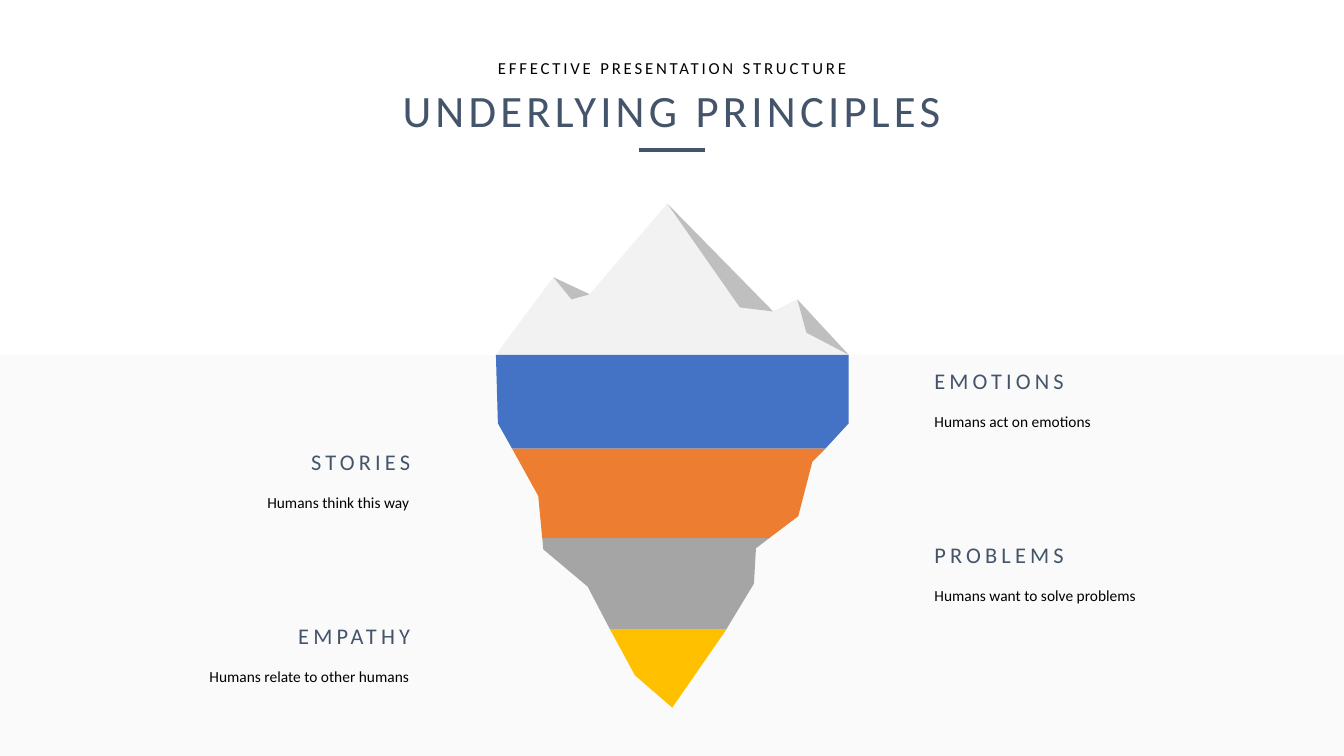
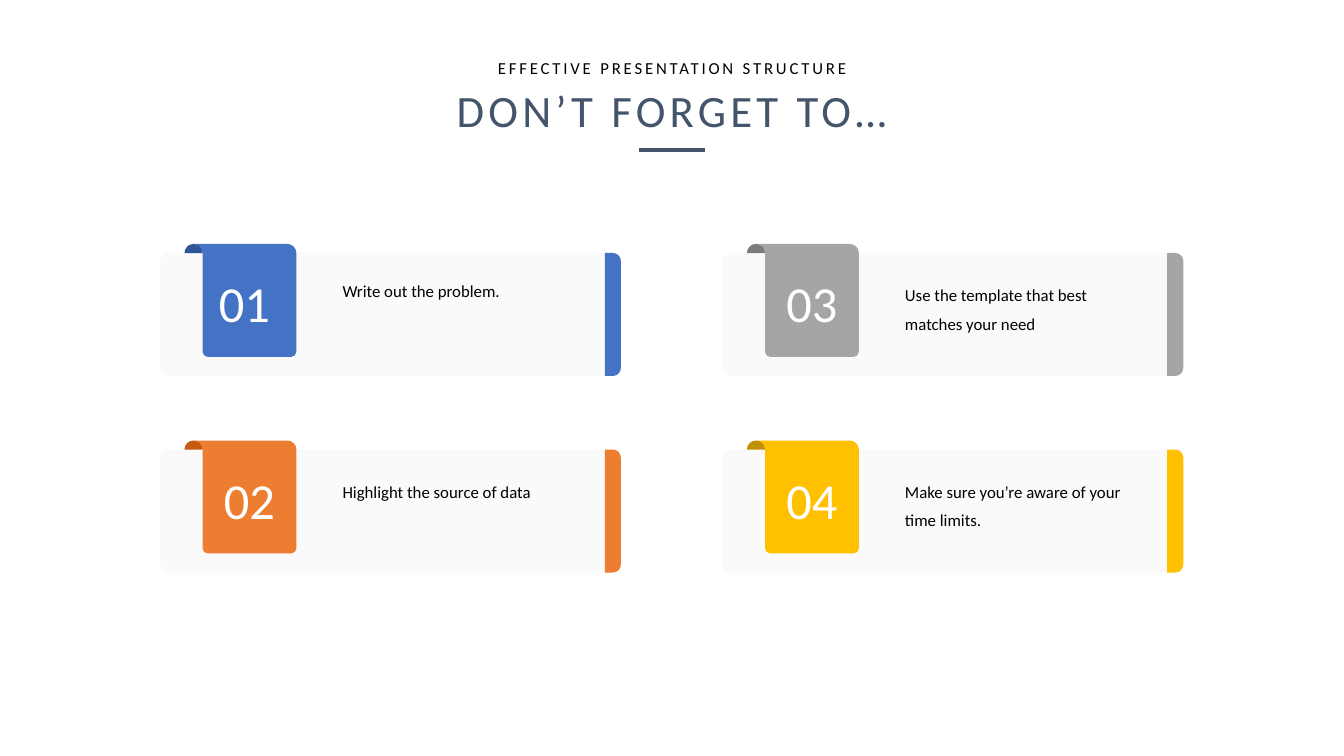
from dataclasses import dataclass
from typing import NamedTuple

from lxml.etree import SubElement
from pptx import Presentation
from pptx.dml.color import RGBColor
from pptx.enum.shapes import MSO_CONNECTOR, MSO_SHAPE
from pptx.enum.text import MSO_ANCHOR, MSO_AUTO_SIZE, PP_ALIGN
from pptx.oxml.ns import qn
from pptx.shapes.autoshape import Shape
from pptx.slide import Slide
from pptx.util import Emu, Pt

PX = 9144  # 100 px to the inch
SLIDE_W, SLIDE_H = Emu(12192000), Emu(6858000)
BEND = 0.55  # pull of a curve towards its corner that gives a quarter circle


@dataclass(frozen=True)
class Theme:
    font: str = "Calibri"
    text: str = "000000"
    heading: str = "44546A"
    white: str = "FFFFFF"
    panel: str = "FAFAFA"
    ice: str = "F2F2F2"
    ice_shade: str = "BFBFBF"
    blue: str = "4472C4"
    blue_dark: str = "2F5597"
    orange: str = "ED7D31"
    orange_dark: str = "C55A11"
    grey: str = "A5A5A5"
    grey_dark: str = "7C7C7C"
    gold: str = "FFC000"
    gold_dark: str = "BF9000"
    title_size: int = 32
    number_size: int = 36
    label_size: int = 16
    body_size: int = 12
    note_size: int = 11


T = Theme()


class Node(NamedTuple):
    """Outline point; with a corner, the way to it is a quarter curve round that corner."""
    x: int
    y: int
    corner: tuple[int, int] | None = None


@dataclass(frozen=True)
class Box:
    x: int
    y: int
    w: int
    h: int


@dataclass(frozen=True)
class Style:
    size: int
    color: str = T.text
    align: PP_ALIGN = PP_ALIGN.LEFT
    spacing: int = 0
    line: float = 1.0
    inset: tuple[int, int] = (0, 0)
    anchor: MSO_ANCHOR = MSO_ANCHOR.TOP
    grow: bool = True


@dataclass(frozen=True)
class Layer:
    color: str
    points: list[tuple[int, int]]


@dataclass(frozen=True)
class Principle:
    label: str
    note: str
    label_y: int
    note_y: int
    on_left: bool


@dataclass(frozen=True)
class Card:
    number: str
    text: str
    color: str
    dark: str
    lines: int = 1
    number_dx: int = 42
    text_dy: int = 19


INSET = (10, 5)
KICKER = Style(T.body_size, align=PP_ALIGN.CENTER, spacing=2, line=0.9, anchor=MSO_ANCHOR.MIDDLE,
               grow=False)
TITLE = Style(T.title_size, T.heading, PP_ALIGN.CENTER, spacing=3)
NUMBER = Style(T.number_size, T.white, PP_ALIGN.CENTER, inset=INSET)
CARD_TEXT = Style(T.body_size, line=1.4, inset=INSET)

ICEBERG = [
    Layer(T.ice, [(842, 352), (492, 352), (549, 275), (585, 292), (662, 202), (767, 309), (791, 297)]),
    Layer(T.blue, [(842, 352), (842, 420), (819, 445), (508, 445), (494, 420), (492, 352)]),
    Layer(T.gold, [(721, 624), (667, 702), (630, 670), (605, 624)]),
    Layer(T.ice_shade, [(662, 202), (734, 305), (767, 309)]),
    Layer(T.ice_shade, [(791, 297), (800, 330), (842, 352)]),
    Layer(T.ice_shade, [(549, 275), (567, 297), (585, 292)]),
    Layer(T.orange, [(819, 445), (806, 458), (792, 512), (763, 534), (538, 534), (534, 492), (508, 445)]),
    Layer(T.grey, [(763, 534), (750, 544), (748, 579), (722, 622), (721, 624), (605, 624), (583, 582),
                   (539, 545), (538, 534)]),
]

PRINCIPLES = [
    Principle("STORIES", "Humans think this way", 445, 482, True),
    Principle("EMOTIONS", "Humans act on emotions", 364, 402, False),
    Principle("EMPATHY", "Humans relate to other humans", 617, 655, True),
    Principle("PROBLEMS", "Humans want to solve problems", 537, 574, False),
]

CARDS = [
    Card("01", "Write out the problem.", T.blue, T.blue_dark, number_dx=37, text_dy=15),
    Card("02", "Highlight the source of data", T.orange, T.orange_dark),
    Card("03", "Use the template that best matches your need", T.grey, T.grey_dark, lines=2),
    Card("04", "Make sure you’re aware of your time limits.", T.gold, T.gold_dark, lines=2),
]


def place(box: Box) -> tuple[Emu, Emu, Emu, Emu]:
    return Emu(box.x * PX), Emu(box.y * PX), Emu(box.w * PX), Emu(box.h * PX)


def paint(sp: Shape, color: str) -> None:
    sp.shadow.inherit = False
    sp.fill.solid()
    sp.fill.fore_color.rgb = RGBColor.from_string(color)
    sp.line.fill.background()


def write(sp: Shape, text: str, style: Style) -> None:
    tf = sp.text_frame
    tf.word_wrap = True
    tf.auto_size = MSO_AUTO_SIZE.SHAPE_TO_FIT_TEXT if style.grow else MSO_AUTO_SIZE.NONE
    tf.vertical_anchor = style.anchor
    tf.margin_left = tf.margin_right = Emu(style.inset[0] * PX)
    tf.margin_top = tf.margin_bottom = Emu(style.inset[1] * PX)
    p = tf.paragraphs[0]
    p.alignment = style.align
    p.line_spacing = style.line
    r = p.add_run()
    r.text = text
    r.font.name = T.font
    r.font.size = Pt(style.size)
    r.font.color.rgb = RGBColor.from_string(style.color)
    if style.spacing:
        r.font._element.set("spc", str(style.spacing * 100))


def add_text(s: Slide, box: Box, text: str, style: Style) -> None:
    write(s.shapes.add_textbox(*place(box)), text, style)


def add_outline(s: Slide, nodes: list[Node], color: str) -> None:
    builder = s.shapes.build_freeform(nodes[0].x * PX, nodes[0].y * PX)
    builder.add_line_segments([(n.x * PX, n.y * PX) for n in nodes[1:]])
    sp = builder.convert_to_shape()
    paint(sp, color)
    left, top = min(n.x for n in nodes), min(n.y for n in nodes)
    segments = list(sp._element.iter(qn("a:lnTo")))
    for start, end, segment in zip(nodes, nodes[1:], segments):
        if end.corner is None:
            continue
        segment.tag = qn("a:cubicBezTo")
        controls = [[a + BEND * (c - a) for a, c in zip(n[:2], end.corner)] for n in (start, end)]
        for i, (x, y) in enumerate(controls):
            pt = segment.makeelement(qn("a:pt"), x=str(round((x - left) * PX)), y=str(round((y - top) * PX)))
            segment.insert(i, pt)


def rounded(box: Box, tl: int = 0, tr: int = 0, br: int = 0, bl: int = 0) -> list[Node]:
    """Clockwise outline of a box with one radius per corner."""
    x, y, right, bottom = box.x, box.y, box.x + box.w, box.y + box.h
    corners = [(x, y, tl, 0, 1), (right, y, tr, -1, 0), (right, bottom, br, 0, -1), (x, bottom, bl, 1, 0)]
    nodes = []
    for cx, cy, radius, dx, dy in corners:
        nodes.append(Node(cx + dx * radius, cy + dy * radius))
        if radius:
            nodes.append(Node(cx + dy * radius, cy - dx * radius, (cx, cy)))
    return nodes


def add_header(s: Slide, title: str) -> None:
    add_text(s, Box(473, 43, 388, 51), "EFFECTIVE PRESENTATION STRUCTURE", KICKER)
    rule = s.shapes.add_connector(MSO_CONNECTOR.STRAIGHT, *(Emu(v * PX) for v in (634, 149, 699, 149)))
    rule.line.color.rgb = RGBColor.from_string(T.heading)
    rule.line.width = Pt(3)
    SubElement(rule._element.spPr, qn("a:effectLst"))
    sp = s.shapes.title
    sp.left, sp.top, sp.width, sp.height = place(Box(301, 82, 731, 54))
    write(sp, title, TITLE)


def add_principle(s: Slide, item: Principle) -> None:
    note_x, label_x = (117, 137) if item.on_left else (927, 927)
    align = PP_ALIGN.RIGHT if item.on_left else PP_ALIGN.LEFT
    add_text(s, Box(note_x, item.note_y, 289, 24), item.note, Style(T.note_size, align=align, line=1.4))
    add_text(s, Box(label_x, item.label_y, 270, 27), item.label,
             Style(T.label_size, T.heading, align, spacing=3))


def add_card(s: Slide, x: int, y: int, card: Card) -> None:
    top = y - 9
    badge_x = x + 42
    add_outline(s, rounded(Box(x, y, 441, 122), tl=8, bl=8), T.panel)
    fold = [Node(badge_x, y), Node(badge_x - 9, top, (badge_x, top))]
    add_outline(s, rounded(Box(badge_x, top, 93, 112), tr=9, br=5, bl=5) + fold, card.color)
    add_outline(s, rounded(Box(x + 24, top, 18, 9), tl=9, tr=9), card.dark)
    add_outline(s, rounded(Box(x + 441, y, 16, 122), tr=8, br=8), card.color)
    add_text(s, Box(x + 171, y + card.text_dy, 250, 8 + 28 * card.lines), card.text, CARD_TEXT)
    add_text(s, Box(x + card.number_dx, y + 14, 93, 67), card.number, NUMBER)


def build_principles(s: Slide) -> None:
    water = s.shapes.add_shape(MSO_SHAPE.RECTANGLE, 0, Emu(352 * PX), SLIDE_W, Emu(398 * PX))
    paint(water, T.panel)
    for layer in ICEBERG:
        add_outline(s, [Node(x, y) for x, y in layer.points], layer.color)
    add_header(s, "UNDERLYING PRINCIPLES")
    for item in PRINCIPLES:
        add_principle(s, item)


def build_reminders(s: Slide) -> None:
    for i, card in enumerate(CARDS):
        col, row = divmod(i, 2)
        add_card(s, 159 + col * 558, 251 + row * 195, card)
    add_header(s, "DON’T FORGET TO…")


def main() -> None:
    prs = Presentation()
    prs.slide_width, prs.slide_height = SLIDE_W, SLIDE_H
    title_only = prs.slide_layouts[5]
    for build in (build_principles, build_reminders):
        build(prs.slides.add_slide(title_only))
    prs.save("out.pptx")


if __name__ == "__main__":
    main()
